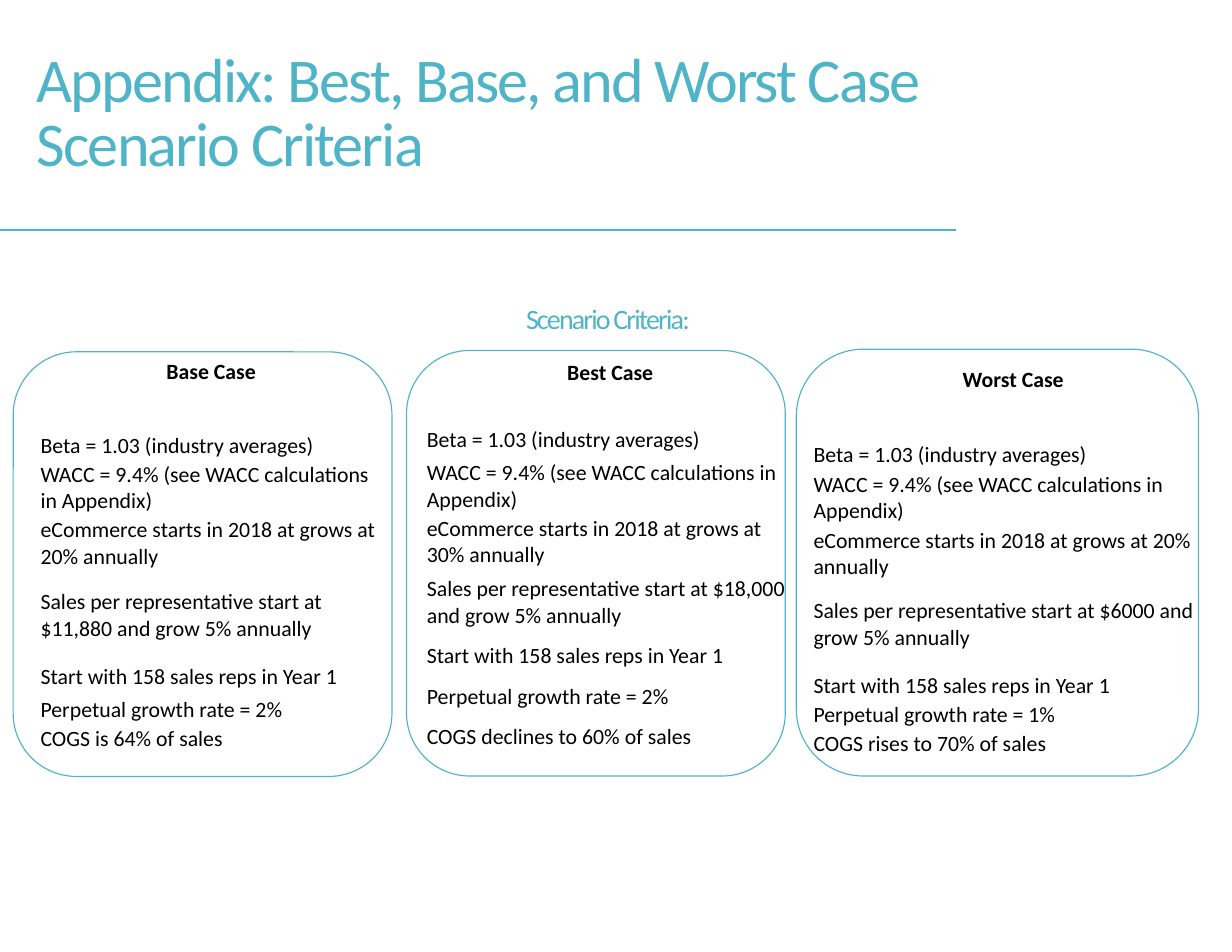
from pptx import Presentation
from pptx import util as u
from pptx.dml.color import RGBColor
from pptx.enum import shapes, text
from pptx.oxml import parse_xml
from pptx.oxml.ns import nsdecls

TEAL = RGBColor(0x50, 0xB4, 0xC8)
BLACK = RGBColor(0, 0, 0)
NO_GRID_STYLE = "{2D5ABB26-0587-4C30-8999-92F81FD0307C}"


def place(*lengths):
    return [u.Cm(length) for length in lengths]


def write(para, words, spacing=0, **formats):
    span = para.add_run()
    span.text = words
    span.font.color.rgb = formats.pop("color")
    for name, value in {"name": "Calibri", **formats}.items():
        setattr(span.font, name, value)
    if spacing:
        span.font._element.set("spc", str(spacing))


deck = Presentation()
deck.slide_width, deck.slide_height = place(27.94, 21.59)
page = deck.slides.add_slide(deck.slide_layouts[5])

title = page.shapes.title
title.left, title.top, title.width, title.height = place(0.58, 0, 24.69, 5.23)
frame_format = {"vertical_anchor": text.MSO_ANCHOR.MIDDLE,
                "auto_size": text.MSO_AUTO_SIZE.NONE, "word_wrap": True}
for name, value in frame_format.items():
    setattr(title.text_frame, name, value)
para = title.text_frame.paragraphs[0]
para.alignment = text.PP_ALIGN.LEFT
para.line_spacing = 0.85
write(para, "Appendix: Best, Base, and Worst Case Scenario Criteria",
      spacing=-120, size=u.Pt(40), color=TEAL)

scenarios = [
    {"name": "Base Case", "growth": "20%", "sales": "$11,880", "perpetual": "2%",
     "cogs": "is 64%", "table": (0.89, 8.08, 7.8),
     "rows": (1.25, 1.09, 1.25, 1.25, 1.63, 1.09, 0.76, 0.66),
     "outline": (0.3, 7.98, 8.59, 9.63)},
    {"name": "Best Case", "growth": "30%", "sales": "$18,000", "perpetual": "2%",
     "cogs": "declines to 60%", "table": (9.65, 8.1, 8.38),
     "rows": (1.25, 0.92, 1.37, 1.25, 1.37, 0.92, 0.92, 0.92),
     "outline": (9.22, 7.95, 8.59, 9.65)},
    {"name": "Worst Case", "growth": "20%", "sales": "$6000", "perpetual": "1%",
     "cogs": "rises to 70%", "table": (18.42, 8.26, 9.12),
     "rows": (1.27, 1.09, 1.27, 1.27, 1.6, 1.09, 0.66, 0.66),
     "outline": (18.06, 7.92, 9.12, 9.68)},
]
margins = {"margin_left": 0.03, "margin_top": 0.05, "margin_right": 0.03, "margin_bottom": 0}

for scenario in scenarios:
    outline = page.shapes.add_shape(shapes.MSO_SHAPE.ROUNDED_RECTANGLE,
                                    *place(*scenario["outline"]))
    outline.shadow.inherit = False
    outline.fill.background()
    outline.line.color.rgb = TEAL
    outline.line.width = u.Pt(0.75)

    criteria = [
        scenario["name"],
        "Beta = 1.03 (industry averages)",
        "WACC = 9.4% (see WACC calculations in Appendix)",
        f"eCommerce starts in 2018 at grows at {scenario['growth']} annually",
        f"Sales per representative start at {scenario['sales']} and grow 5% annually",
        "Start with 158 sales reps in Year 1",
        f"Perpetual growth rate = {scenario['perpetual']}",
        f"COGS {scenario['cogs']} of sales",
    ]
    holder = page.shapes.add_table(len(criteria), 1,
                                   *place(*scenario["table"], sum(scenario["rows"])))
    holder._element.xpath(".//a:tableStyleId")[0].text = NO_GRID_STYLE
    table = holder.table
    table.first_row = table.horz_banding = False
    for index, (words, height) in enumerate(zip(criteria, scenario["rows"])):
        heading = index == 0
        table.rows[index].height = u.Cm(height)
        cell = table.cell(index, 0)
        cell.fill.background()
        for name, value in margins.items():
            setattr(cell, name, u.Cm(value))
        cell.vertical_anchor = text.MSO_ANCHOR.TOP if heading else text.MSO_ANCHOR.BOTTOM
        para = cell.text_frame.paragraphs[0]
        para.alignment = text.PP_ALIGN.CENTER if heading else text.PP_ALIGN.LEFT
        write(para, words, size=u.Pt(14), bold=heading, color=BLACK)

caption = page.shapes.add_textbox(*place(11.68, 6.71, 4.72, 1.02))
caption.text_frame.word_wrap = False
caption.text_frame.auto_size = text.MSO_AUTO_SIZE.SHAPE_TO_FIT_TEXT
write(caption.text_frame.paragraphs[0], "Scenario Criteria:",
      spacing=-120, size=u.Pt(18), color=TEAL)

rule = page.shapes.add_connector(shapes.MSO_CONNECTOR.STRAIGHT, *place(0, 5.21, 21.67, 5.21))
rule.line.color.rgb = TEAL
rule.line.width = u.Pt(1)
rule._element.spPr.append(parse_xml(f"<a:effectLst {nsdecls('a')}/>"))

deck.save("out.pptx")
